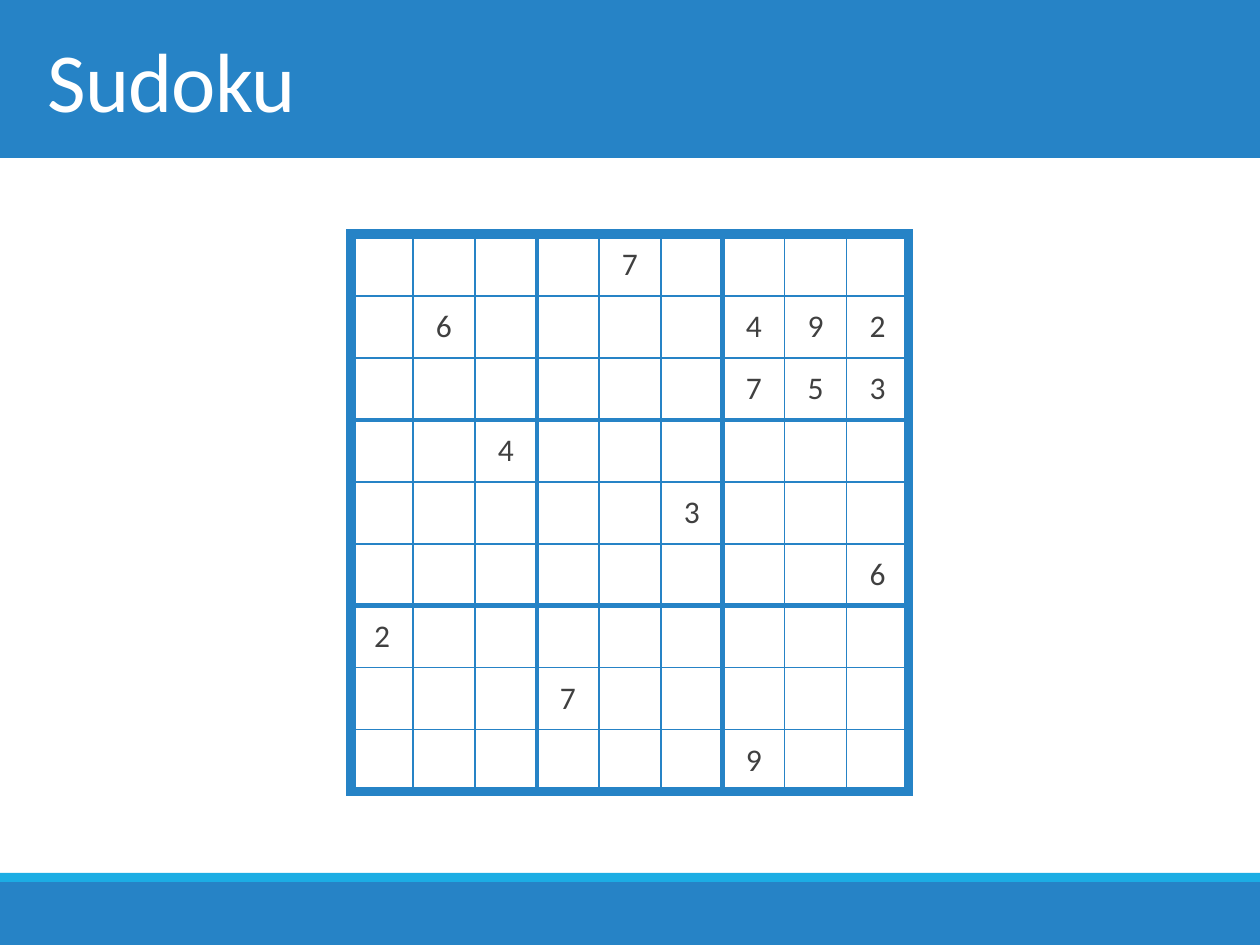
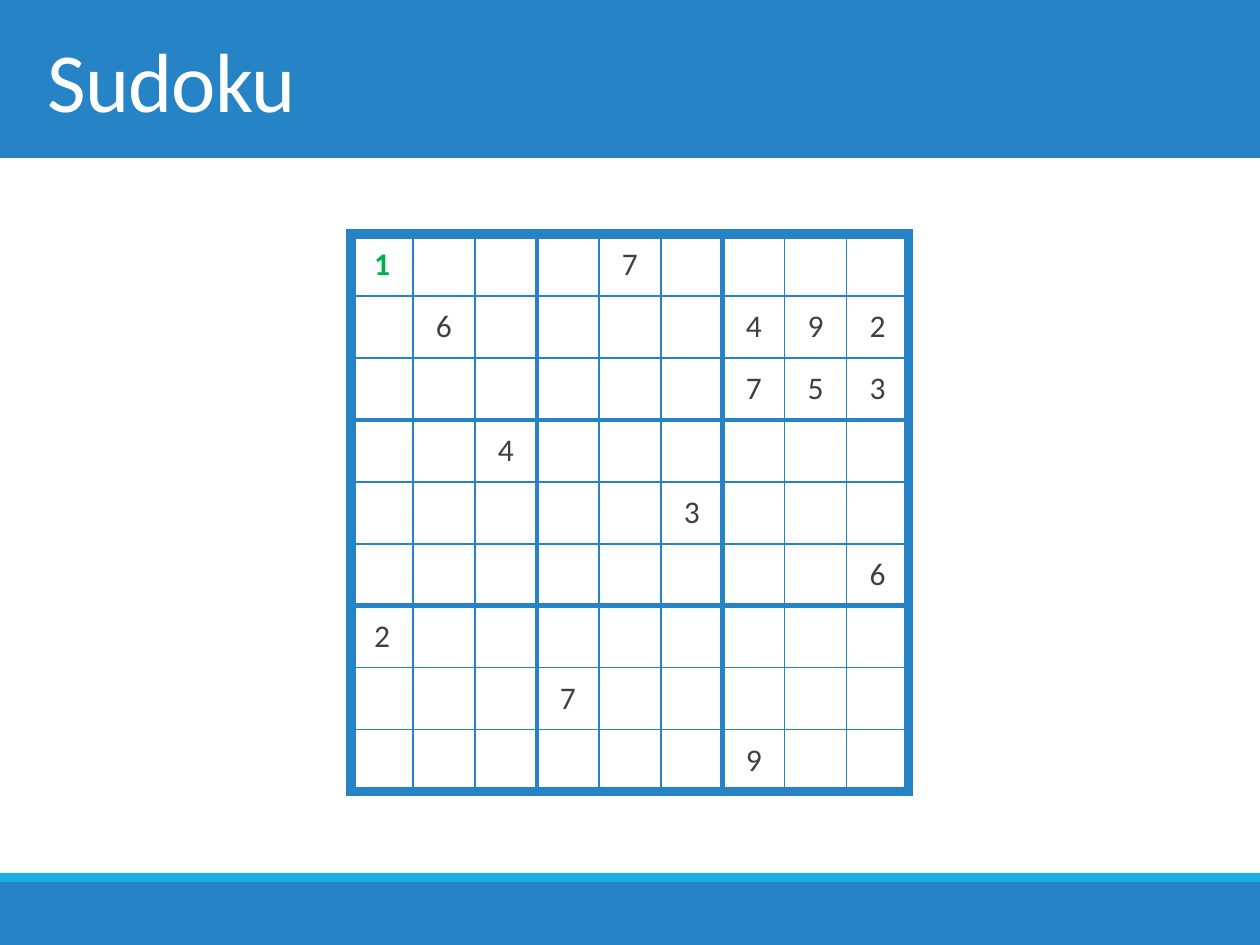
from dataclasses import dataclass

from lxml import etree
from pptx import Presentation
from pptx.dml.color import RGBColor
from pptx.enum import shapes, text
from pptx.oxml import ns
from pptx.util import Pt

# Scale, palette and type
EMU_PER_PIXEL = 914400 // 126
SLIDE_WIDTH, SLIDE_HEIGHT = 1260, 945
BLUE, CYAN, WHITE, GREY, GREEN = "2683C6", "1CADE4", "FFFFFF", "404040", "00B050"
FONT = "Calibri"

# Sudoku grid
GRID_SIZE, BOX_SIZE, CELL = 9, 3, 62
GRID_LEFT = (SLIDE_WIDTH - GRID_SIZE * CELL) // 2
GRID_TOP = 234
FRAME_LINE, BOX_LINE, CELL_LINE = 6, 3, 1
GIVENS = (
    "....7....",
    ".6....492",
    "......753",
    "..4......",
    ".....3...",
    "........6",
    "2........",
    "...7.....",
    "......9..",
)


@dataclass(frozen=True)
class Band:
    top: int
    height: int
    color: str


@dataclass(frozen=True)
class Answer:
    row: int
    column: int
    digit: str


BANDS = (Band(0, 158, BLUE), Band(882, 63, BLUE), Band(873, 9, CYAN))
SLIDE_ANSWERS: tuple[tuple[Answer, ...], ...] = ((), (Answer(0, 0, "1"),))


def px(pixels: int) -> int:
    return pixels * EMU_PER_PIXEL


def rgb(color: str) -> RGBColor:
    return RGBColor.from_string(color)


def add_run(paragraph, content: str, size: int, color: str, bold: bool = False):
    run = paragraph.add_run()
    run.text = content
    run.font.name = FONT
    run.font.size = Pt(size)
    run.font.bold = bold
    run.font.color.rgb = rgb(color)
    return run


def add_band(slide, band: Band) -> None:
    shape = slide.shapes.add_shape(
        shapes.MSO_SHAPE.RECTANGLE, 0, px(band.top), px(SLIDE_WIDTH), px(band.height)
    )
    shape.shadow.inherit = False
    shape.fill.solid()
    shape.fill.fore_color.rgb = rgb(band.color)
    shape.line.fill.background()


def set_title(slide, content: str) -> None:
    title = slide.shapes.title
    title.left, title.top = px(35), 0
    title.width, title.height = px(1191), px(158)
    # Bring the title in front of the header band
    slide.shapes._spTree.append(title._element)
    frame = title.text_frame
    frame.word_wrap = True
    frame.vertical_anchor = text.MSO_ANCHOR.MIDDLE
    paragraph = frame.paragraphs[0]
    paragraph.alignment = text.PP_ALIGN.LEFT
    run = add_run(paragraph, content, 48, WHITE)
    run._r.get_or_add_rPr().set("spc", "-50")


def line_width(index: int) -> int:
    """Weight of the grid line before the row or column with this index."""
    if index in (0, GRID_SIZE):
        return FRAME_LINE
    return CELL_LINE if index % BOX_SIZE else BOX_LINE


def set_borders(cell, row: int, column: int) -> None:
    properties = cell._tc.get_or_add_tcPr()
    sides = (("lnL", column), ("lnR", column + 1), ("lnT", row), ("lnB", row + 1))
    for tag, index in sides:
        line = etree.SubElement(
            properties, ns.qn(f"a:{tag}"), w=str(Pt(line_width(index)))
        )
        fill = etree.SubElement(line, ns.qn("a:solidFill"))
        etree.SubElement(fill, ns.qn("a:srgbClr"), val=BLUE)


def add_sudoku(slide, answers: tuple[Answer, ...]) -> None:
    side = px(GRID_SIZE * CELL)
    table = slide.shapes.add_table(
        GRID_SIZE, GRID_SIZE, px(GRID_LEFT), px(GRID_TOP), side, side
    ).table
    table.first_row = table.horz_banding = False
    for track in table.columns:
        track.width = px(CELL)
    for track in table.rows:
        track.height = px(CELL)

    solved = {(answer.row, answer.column): answer.digit for answer in answers}
    for row, givens in enumerate(GIVENS):
        for column, given in enumerate(givens):
            cell = table.cell(row, column)
            set_borders(cell, row, column)
            cell.fill.background()
            cell.vertical_anchor = text.MSO_ANCHOR.MIDDLE
            paragraph = cell.text_frame.paragraphs[0]
            paragraph.alignment = text.PP_ALIGN.CENTER
            if (row, column) in solved:
                add_run(paragraph, solved[row, column], 18, GREEN, bold=True)
            elif given != ".":
                add_run(paragraph, given, 18, GREY)


def build() -> None:
    presentation = Presentation()
    presentation.slide_width = px(SLIDE_WIDTH)
    presentation.slide_height = px(SLIDE_HEIGHT)
    title_only = presentation.slide_layouts[5]
    for answers in SLIDE_ANSWERS:
        slide = presentation.slides.add_slide(title_only)
        slide.background.fill.solid()
        slide.background.fill.fore_color.rgb = rgb(WHITE)
        for band in BANDS:
            add_band(slide, band)
        set_title(slide, "Sudoku")
        add_sudoku(slide, answers)
    presentation.save("out.pptx")


build()
